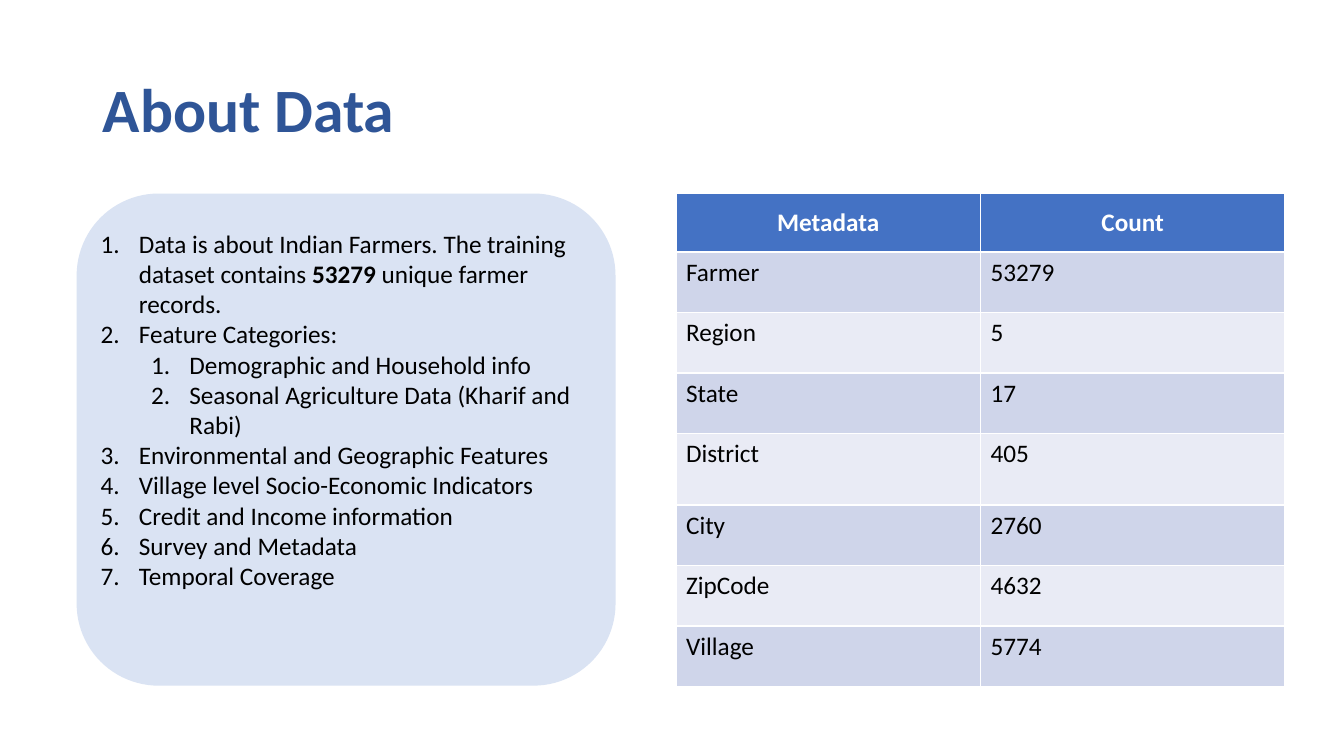
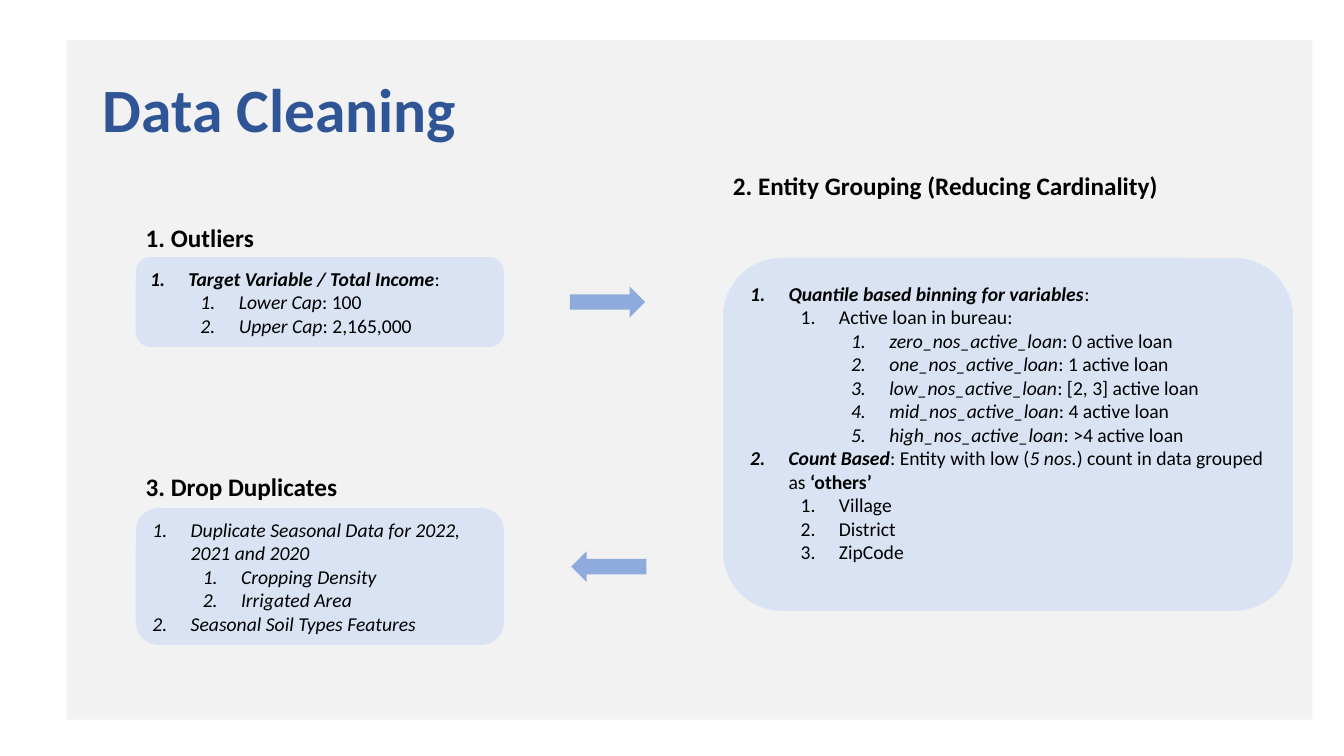
"""Build two slides on farmer data: an overview and the cleaning steps."""
from lxml import etree
from pptx import Presentation
from pptx.dml.color import RGBColor
from pptx.enum.shapes import MSO_SHAPE
from pptx.enum.text import MSO_ANCHOR, MSO_AUTO_SIZE, PP_ALIGN
from pptx.oxml.ns import qn
from pptx.util import Inches, Pt

RECT, ROUND, ARROW = MSO_SHAPE.RECTANGLE, MSO_SHAPE.ROUNDED_RECTANGLE, MSO_SHAPE.RIGHT_ARROW
MIDDLE, LEFT, CENTER = MSO_ANCHOR.MIDDLE, PP_ALIGN.LEFT, PP_ALIGN.CENTER
FIXED = MSO_AUTO_SIZE.NONE
FONT = "Calibri"
NAVY, BLUE, SKY, PALE = "2F5597", "4472C4", "8FAADC", "DAE3F3"
BLACK, WHITE, GREY = "000000", "FFFFFF", "F2F2F2"
BANDS = ["CFD5EA", "E9EBF5"]
STEP, HANG = Inches(0.5), Inches(0.38)

deck = Presentation()
deck.slide_width, deck.slide_height = Inches(13.33), Inches(7.5)


def tint(fill, color):
    """Make a fill solid in a hex colour."""
    fill.solid()
    fill.fore_color.rgb = RGBColor.from_string(color)


def place(left, top, width, height):
    """Turn percentages of the slide into lengths."""
    wide, high = deck.slide_width / 100, deck.slide_height / 100
    return int(left * wide), int(top * high), int(width * wide), int(height * high)


slides = []
for name in ["About Data", "Data Cleaning"]:
    slide = deck.slides.add_slide(deck.slide_layouts[5])
    slides.append(slide)
    title = slide.shapes.title
    title.left, title.top, title.width, title.height = place(6.9, 5.3, 86.3, 19.3)
    frame = title.text_frame
    frame.text = name
    frame.auto_size = FIXED
    frame.vertical_anchor = MIDDLE
    line = frame.paragraphs[0]
    line.alignment, line.line_spacing = LEFT, 0.9
    font = line.runs[0].font
    font.name, font.size, font.bold = FONT, Pt(44), True
    tint(font.fill, NAVY)
about, clean = slides

panel = clean.shapes.add_shape(RECT, *place(4.95, 5.3, 92.7, 89.9))
panel.shadow.inherit = False
tint(panel.fill, GREY)
panel.line.fill.background()
clean.shapes.title._element.addprevious(panel._element)

facts = [
    (0, [("Data is about Indian Farmers. The training dataset contains ", ""),
         ("53279 ", "b"), ("unique farmer records.", "")]),
    (0, [("Feature Categories:", "")]),
    (1, [("Demographic and Household info", "")]),
    (1, [("Seasonal Agriculture Data (Kharif and Rabi)", "")]),
    (0, [("Environmental and Geographic Features", "")]),
    (0, [("Village level Socio-Economic Indicators", "")]),
    (0, [("Credit and Income information", "")]),
    (0, [("Survey and Metadata", "")]),
    (0, [("Temporal Coverage", "")]),
]
caps = [
    (0, [("Target Variable / Total Income", "bi"), (":", "")]),
    (1, [("Lower Cap", "i"), (": 100", "")]),
    (1, [("Upper Cap", "i"), (": 2,165,000", "")]),
]
bins = [("zero", "0"), ("one", "1"), ("low", "[2, 3]"), ("mid", "4"), ("high", ">4")]
groups = [
    (0, [("Quantile based binning for variables", "bi"), (":", "")]),
    (1, [("Active loan in bureau:", "")]),
    *[(2, [(f"{bin}_nos_active_loan", "i"), (f": {span} active loan", "")])
      for bin, span in bins],
    (0, [("Count Based", "bi"), (": Entity with low (", ""), ("5 nos.", "i"),
         (") count in data grouped as ", ""), ("‘others’", "b")]),
    *[(1, [(place_name, "")]) for place_name in ["Village", "District", "ZipCode"]],
]
drops = [
    (0, [("Duplicate Seasonal Data for 2022, 2021 and 2020", "i")]),
    (1, [("Cropping Density", "i")]),
    (1, [("Irrigated Area", "i")]),
    (0, [("Seasonal Soil Types Features", "i")]),
]
cards = [
    (about, (5.7, 25.6, 40.1, 65.1), 18, 0, 0.65, facts),
    (clean, (10.1, 34, 27.4, 11.9), 14, 0.1, 0.05, caps),
    (clean, (53.8, 34.1, 42.4, 46.7), 14, 0.1, 0.28, groups),
    (clean, (10.1, 67.2, 27.4, 18.1), 14, 0.1, 0.05, drops),
]
for slide, area, size, left, base, items in cards:
    card = slide.shapes.add_shape(ROUND, *place(*area))
    card.shadow.inherit = False
    tint(card.fill, PALE)
    card.line.fill.background()
    frame = card.text_frame
    frame.word_wrap, frame.vertical_anchor = True, MIDDLE
    frame.margin_left, frame.margin_bottom = Inches(left), Inches(base)
    for index, (level, parts) in enumerate(items):
        line = frame.add_paragraph() if index else frame.paragraphs[0]
        line.level, line.alignment = level, LEFT
        props = line._p.get_or_add_pPr()
        props.set("marL", str(HANG + level * STEP))
        props.set("indent", str(-HANG))
        etree.SubElement(props, qn("a:buAutoNum"), type="arabicPeriod")
        for text, style in parts:
            run = line.add_run()
            run.text = text
            font = run.font
            font.name, font.size = FONT, Pt(size)
            font.bold, font.italic = "b" in style, "i" in style
            tint(font.fill, BLACK)

heads = [
    ("1. Outliers", (10.1, 28.7, 23.4, 5.3)),
    ("2. Entity Grouping (Reducing Cardinality)", (53.8, 21.9, 35.4, 6.3)),
    ("3. Drop Duplicates", (10.1, 61.7, 23.4, 5.3)),
]
for text, area in heads:
    frame = clean.shapes.add_textbox(*place(*area)).text_frame
    frame.word_wrap = True
    frame.text = text
    font = frame.paragraphs[0].runs[0].font
    font.name, font.size, font.bold = FONT, Pt(18), True
    tint(font.fill, BLACK)

for left, top, turn in [(42.4, 37.9, 0), (42.5, 72.9, 180)]:
    arrow = clean.shapes.add_shape(ARROW, *place(left, top, 5.6, 4.1))
    arrow.shadow.inherit = False
    arrow.rotation = turn
    tint(arrow.fill, SKY)
    arrow.line.fill.background()

rows = [
    ("Metadata", "Count"), ("Farmer", "53279"), ("Region", "5"), ("State", "17"),
    ("District", "405"), ("City", "2760"), ("ZipCode", "4632"), ("Village", "5774"),
]
tall = {"Metadata": 0.58, "District": 0.71}
table = about.shapes.add_table(len(rows), 2, *place(50.3, 25.6, 45.3, 65.1)).table
for row, pair in enumerate(rows):
    table.rows[row].height = Inches(tall.get(pair[0], 0.6))
    for col, text in enumerate(pair):
        cell = table.cell(row, col)
        cell.text_frame.text = text
        tint(cell.fill, BANDS[(row - 1) % 2] if row else BLUE)
        line = cell.text_frame.paragraphs[0]
        font = line.runs[0].font
        font.name, font.size, font.bold = FONT, Pt(18), row == 0
        tint(font.fill, BLACK if row else WHITE)
        if row == 0:
            line.alignment = CENTER
            cell.vertical_anchor = MIDDLE

deck.save("out.pptx")
